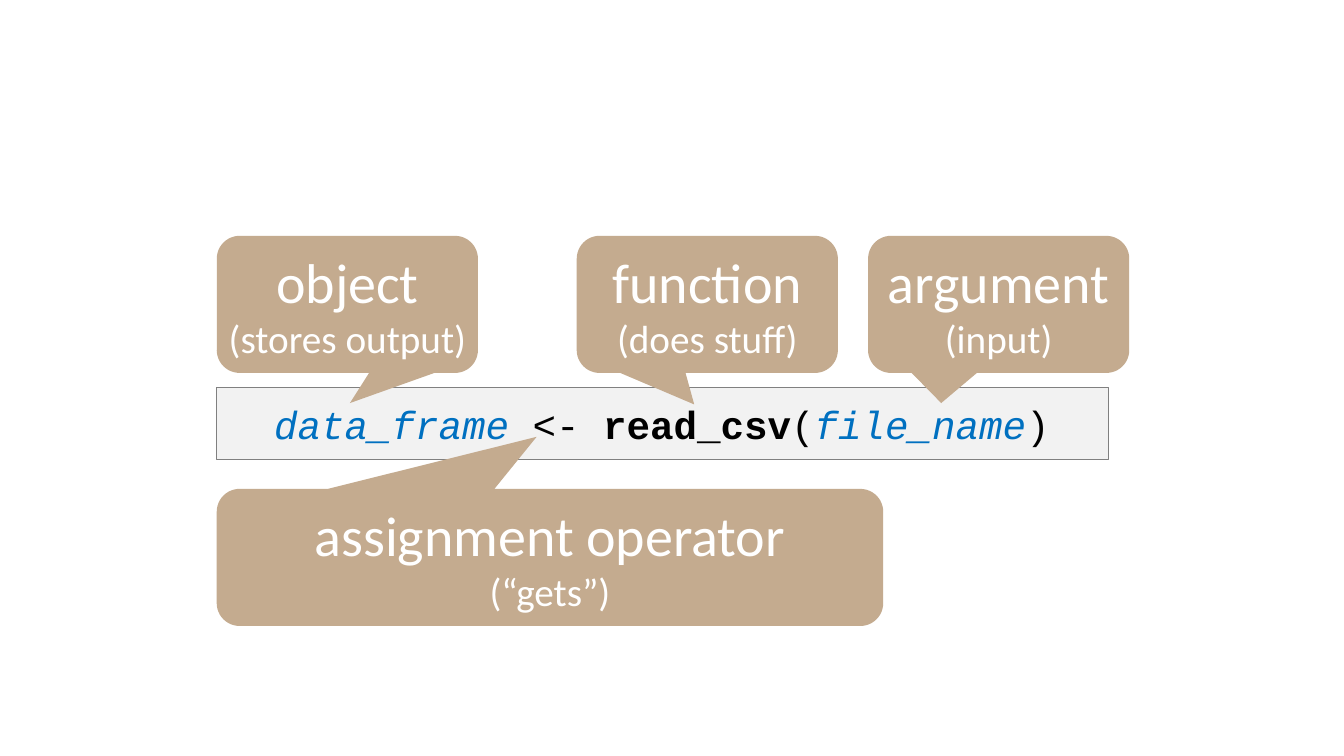
from pptx import Presentation
from pptx.dml.color import RGBColor
from pptx.enum.shapes import MSO_SHAPE as Shape
from pptx.enum.text import MSO_ANCHOR as Anchor, PP_ALIGN as Align
from pptx.util import Inches, Pt

COLORS = {
    "bar": "F2F2F2",
    "border": "808080",
    "callout": "C4AB8F",
    "label": "FFFFFF",
    "code": "000000",
    "variable": "0070C0",
}

prs = Presentation()
prs.slide_width, prs.slide_height = Inches(13.33), Inches(7.5)
s = prs.slides.add_slide(prs.slide_layouts[6])


def rgb(name):
    return RGBColor.from_string(COLORS[name])


def add_panel(kind, left, top, width, height, fill):
    """Add a filled shape placed in percent of the slide's width and height."""
    w, h = prs.slide_width / 100, prs.slide_height / 100
    sp = s.shapes.add_shape(kind, int(left * w), int(top * h), int(width * w), int(height * h))
    sp.shadow.inherit = False
    sp.fill.solid()
    sp.fill.fore_color.rgb = rgb(fill)
    sp.line.fill.background()
    tf = sp.text_frame
    tf.word_wrap = True
    tf.vertical_anchor = Anchor.MIDDLE
    tf.margin_left = tf.margin_right = 0
    return sp


# Line of code: text, color, bold, italic
LEFT = 16.13
code_runs = [
    ("data_frame ", "variable", False, True),
    ("<- ", "code", False, False),
    ("read_csv", "code", True, False),
    ("(", "code", False, False),
    ("file_name", "variable", False, True),
    (")", "code", False, False),
]
bar = add_panel(Shape.RECTANGLE, LEFT, 51.2, 66.39, 9.6, "bar")
bar.line.color.rgb = rgb("border")
bar.line.width = Pt(0.75)
bar.text_frame.margin_left = Inches(0.57)
p = bar.text_frame.paragraphs[0]
p.alignment = Align.LEFT
for text, color, bold, italic in code_runs:
    r = p.add_run()
    r.text = text
    r.font.name, r.font.size = "Courier New", Pt(28)
    r.font.bold, r.font.italic = bold, italic
    r.font.color.rgb = rgb(color)

# Callouts: term, meaning, left, top, width, pointer tip from the center
ABOVE, BELOW = 31.2, 64.67
NARROW, WIDE = 19.43, 49.59
callouts = [
    ("function", "(does stuff)", 42.91, ABOVE, NARROW, (-0.05, 0.73)),
    ("argument", "(input)", 64.59, ABOVE, NARROW, (-0.22, 0.72)),
    ("assignment operator", "(“gets”)", LEFT, BELOW, WIDE, (-0.02, -0.88)),
    ("object", "(stores output)", LEFT, ABOVE, NARROW, (0.01, 0.72)),
]
for term, meaning, left, top, width, tip in callouts:
    sp = add_panel(Shape.ROUNDED_RECTANGULAR_CALLOUT, left, top, width, 18.13, "callout")
    sp.adjustments[0], sp.adjustments[1] = tip
    tf = sp.text_frame
    tf.text = f"{term}\n{meaning}"
    for p, size in zip(tf.paragraphs, (40, 28)):
        p.alignment = Align.CENTER
        p.font.name, p.font.size = "Calibri", Pt(size)
        p.font.color.rgb = rgb("label")

prs.save("out.pptx")
